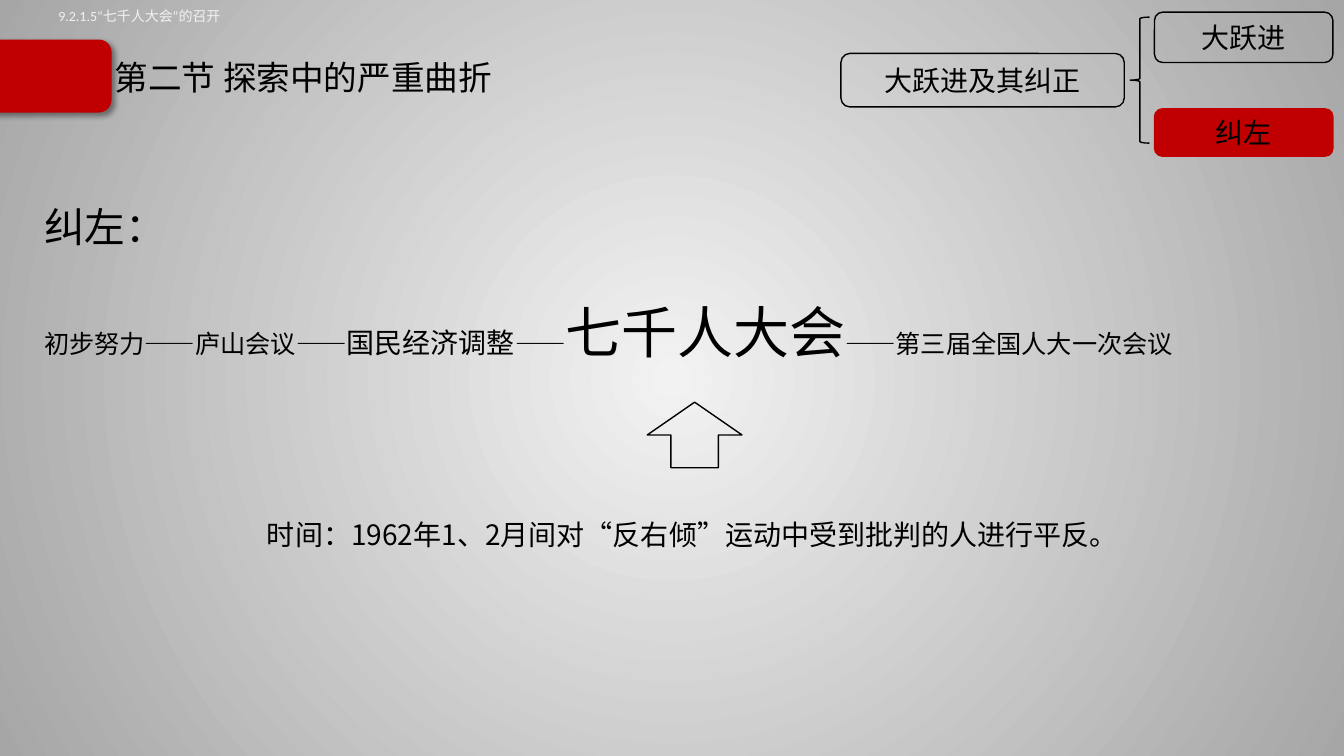
from lxml import etree
from pptx import Presentation
from pptx import util as u
from pptx.dml.color import RGBColor
from pptx.enum import shapes, text
from pptx.oxml import parse_xml
from pptx.oxml.ns import nsdecls, qn

WIDTH, HEIGHT = u.Inches(13.33), u.Inches(7.5)
CJK, CJK_TITLE, LATIN = "Noto Sans CJK SC", "Noto Sans CJK JP", "Calibri"
COLORS = {"ink": "000000", "red": "C00000", "pale": "F2F2F2", "edge": "A6A6A6"}
SHAPE = shapes.MSO_SHAPE
MIDDLE = text.MSO_ANCHOR.MIDDLE


def color(name):
    return RGBColor.from_string(COLORS[name])


def place(left, top, width, height):
    """Turn percentages of the slide's width and height into lengths."""
    return [int(share * side / 100) for share, side in
            zip((left, top, width, height), (WIDTH, HEIGHT) * 2)]


def set_background(s):
    """Radial gradient from a pale centre to grey edges."""
    stops = "".join(
        f'<a:gs pos="{pos}"><a:srgbClr val="{COLORS[name]}"/></a:gs>'
        for pos, name in ((0, "pale"), (100000, "edge")))
    s.element.cSld.insert(0, parse_xml(
        f'<p:bg {nsdecls("p", "a")}><p:bgPr><a:gradFill rotWithShape="1">'
        f'<a:gsLst>{stops}</a:gsLst><a:path path="circle">'
        '<a:fillToRect l="50000" t="50000" r="50000" b="50000"/></a:path>'
        '</a:gradFill><a:effectLst/></p:bgPr></p:bg>'))


def add_run(p, words, size, font=CJK, ink="ink"):
    r = p.add_run()
    r.text = words
    r.font.size = u.Pt(size)
    r.font.name = font
    r.font.color.rgb = color(ink)
    etree.SubElement(r.font._element, qn("a:ea"), typeface=font)


def add_text(s, area, paragraphs, font=CJK, ink="ink", anchor=text.MSO_ANCHOR.TOP,
             line_spacing=None, before=None):
    """Each paragraph is a list of (words, size) runs."""
    tf = s.shapes.add_textbox(*place(*area)).text_frame
    tf.word_wrap = True
    tf.vertical_anchor = anchor
    for i, runs in enumerate(paragraphs):
        p = tf.add_paragraph() if i else tf.paragraphs[0]
        p.line_spacing = line_spacing
        p.space_before = before
        for words, size in runs:
            add_run(p, words, size, font, ink)


def add_figure(parent, kind, area, label=None, fill=None):
    sp = parent.shapes.add_shape(kind, *place(*area))
    sp.shadow.inherit = False
    if fill:
        sp.fill.solid()
        sp.fill.fore_color.rgb = color(fill)
    else:
        sp.fill.background()
    sp.line.color.rgb = color(fill or "ink")
    sp.line.width = u.Pt(1)
    if label:
        tf = sp.text_frame
        tf.vertical_anchor = MIDDLE
        p = tf.paragraphs[0]
        p.alignment = text.PP_ALIGN.CENTER
        add_run(p, label, 20)
    return sp


def add_drop_shadow(sp):
    effects = sp._element.spPr.find(qn("a:effectLst"))
    effects.append(parse_xml(
        f'<a:outerShdw {nsdecls("a")} blurRad="{u.Pt(4)}" dist="{u.Pt(3)}" '
        f'dir="2700000" algn="tl" rotWithShape="0"><a:srgbClr val="{COLORS["ink"]}">'
        '<a:alpha val="40000"/></a:srgbClr></a:outerShdw>'))


def add_topic_tree(s):
    tree = s.shapes.add_group_shape()
    add_figure(tree, SHAPE.ROUNDED_RECTANGLE, (62.57, 7.07, 21.08, 7.07), "大跃进及其纠正")
    add_figure(tree, SHAPE.LEFT_BRACE, (84.1, 2.27, 1.43, 16.67))
    for top, height, label, fill in ((1.6, 6.67, "大跃进", None),
                                     (14.4, 6.27, "纠左", "red")):
        add_figure(tree, SHAPE.ROUNDED_RECTANGLE, (85.9, top, 13.28, height), label, fill)


def main():
    prs = Presentation()
    prs.slide_width, prs.slide_height = WIDTH, HEIGHT
    s = prs.slides.add_slide(prs.slide_layouts[6])
    set_background(s)

    tab = add_figure(s, SHAPE.ROUNDED_RECTANGLE, (-1.35, 5.33, 9.6, 9.47), fill="red")
    add_drop_shadow(tab)
    add_text(s, (7.8, 6.53, 38.5, 7.87), [[("第二节 探索中的严重曲折", 24)]],
             font=CJK_TITLE, anchor=MIDDLE, line_spacing=0.9)
    add_text(s, (2.55, 22.8, 94.82, 29.47), [
        [("纠左：", 29)],
        [("初步努力——庐山会议——", 18), ("国民经济调整", 20), ("——", 18),
         ("七千人大会", 40), ("——第三届全国人大一次会议", 18)],
    ], line_spacing=1.5, before=u.Pt(10))
    add_topic_tree(s)
    add_figure(s, SHAPE.UP_ARROW, (48.16, 53.2, 7.05, 8.67))
    add_text(s, (19.13, 63.47, 67.67, 14.4),
             [[("时间：1962年1、2月间对“反右倾”运动中受到批判的人进行平反。", 20)]],
             anchor=MIDDLE)
    add_text(s, (3.6, 0.4, 50.94, 3.6), [[("9.2.1.5“七千人大会”的召开", 10)]],
             font=LATIN, ink="pale")
    prs.save("out.pptx")


if __name__ == "__main__":
    main()
